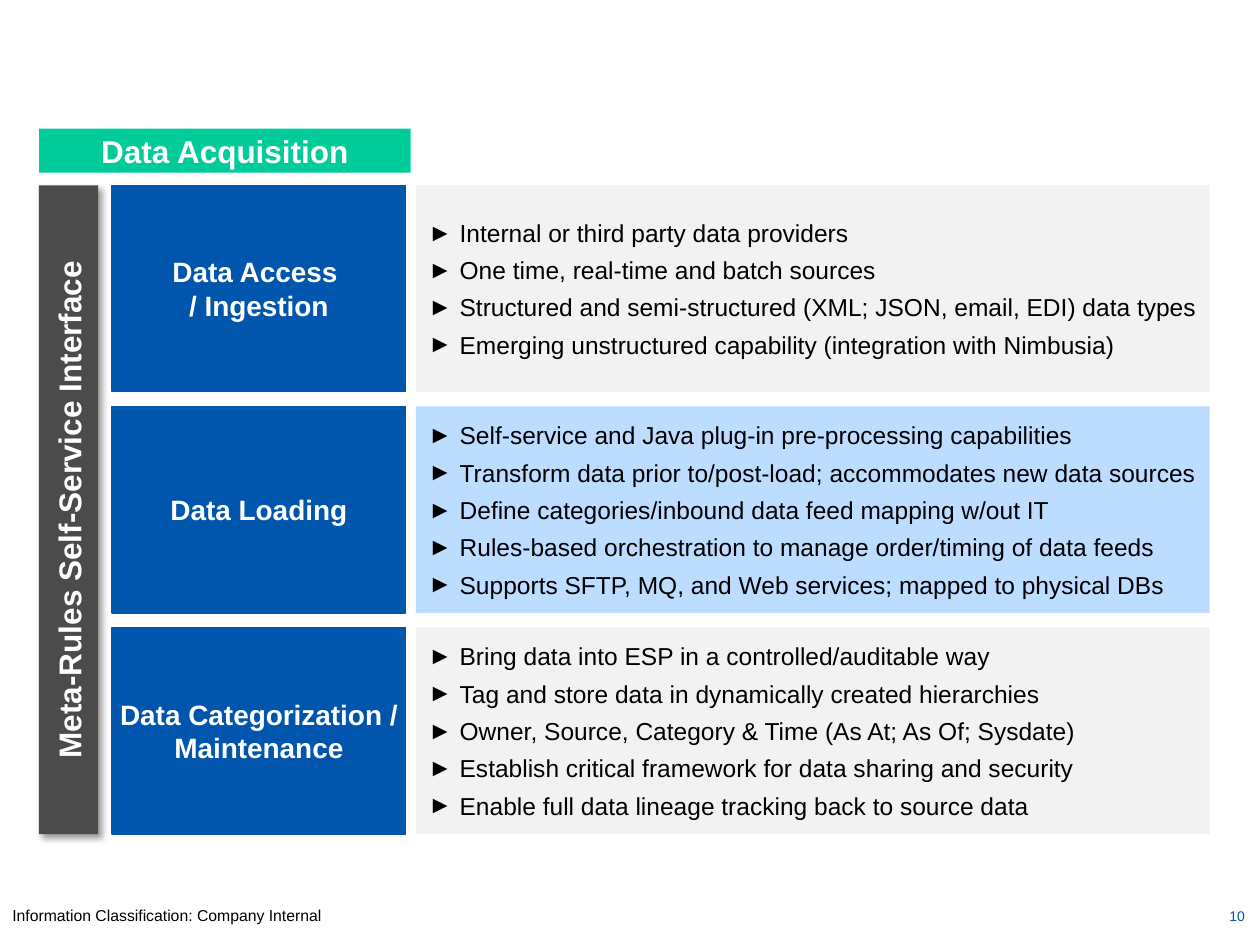
from lxml.etree import SubElement
from pptx import Presentation
from pptx.dml.color import RGBColor
from pptx.enum.shapes import MSO_SHAPE
from pptx.enum.text import MSO_ANCHOR, PP_ALIGN
from pptx.oxml.ns import qn
from pptx.util import Emu, Inches, Pt

COLORS = {
    "blue": "0055AD", "green": "00CC99", "charcoal": "4B4B4B",
    "gray": "F2F2F2", "light blue": "BCDDFF", "white": "FFFFFF", "black": "000000",
}
FONT = "Arial"

LEFT, RIGHT = 0.31, 9.6
TOP, BOTTOM = 1.47, 6.62
BAR_WIDTH = 0.47
HEADING_LEFT, HEADING_WIDTH = 0.89, 2.33
DETAIL_LEFT = 3.3
ROW_HEIGHT = 1.64

STAGES = [
    ("Data Access \n/ Ingestion", "gray", [
        "Internal or third party data providers",
        "One time, real-time and batch sources",
        "Structured and semi-structured (XML; JSON, email, EDI) data types",
        "Emerging unstructured capability (integration with Nimbusia)",
    ]),
    ("Data Loading", "light blue", [
        "Self-service and Java plug-in pre-processing capabilities",
        "Transform data prior to/post-load; accommodates new data sources",
        "Define categories/inbound data feed mapping w/out IT",
        "Rules-based orchestration to manage order/timing of data feeds",
        "Supports SFTP, MQ, and Web services; mapped to physical DBs",
    ]),
    ("Data Categorization / Maintenance", "gray", [
        "Bring data into ESP in a controlled/auditable way",
        "Tag and store data in dynamically created hierarchies",
        "Owner, Source, Category & Time (As At; As Of; Sysdate)",
        "Establish critical framework for data sharing and security",
        "Enable full data lineage tracking back to source data",
    ]),
]


def color(name):
    return RGBColor.from_string(COLORS[name])


def write(shape, text, size, ink, align, bold=False):
    frame = shape.text_frame
    frame.word_wrap = True
    frame.text = text
    for paragraph in frame.paragraphs:
        paragraph.alignment = align
        for run in paragraph.runs:
            run.font.name = FONT
            run.font.size = Pt(size)
            run.font.bold = bold
            run.font.color.rgb = color(ink)


def add_block(slide, left, top, width, height, fill):
    shape = slide.shapes.add_shape(
        MSO_SHAPE.RECTANGLE, *map(Inches, (left, top, width, height)))
    shape.shadow.inherit = False
    shape.fill.solid()
    shape.fill.fore_color.rgb = color(fill)
    shape.line.fill.background()
    shape.text_frame.vertical_anchor = MSO_ANCHOR.MIDDLE
    return shape


def add_label(slide, left, top, width, height, fill, text, size=18):
    shape = add_block(slide, left, top, width, height, fill)
    write(shape, text, size, "white", PP_ALIGN.CENTER, bold=True)
    return shape


def add_heading(slide, top, text):
    shape = add_label(slide, HEADING_LEFT, top, HEADING_WIDTH, ROW_HEIGHT, "blue", text, 16)
    shape.line.color.rgb = color("blue")
    shape.line.width = Pt(0.75)
    frame = shape.text_frame
    frame.margin_left = frame.margin_right = Inches(0.05)
    frame.margin_top = frame.margin_bottom = Inches(0.05)


def add_details(slide, top, fill, items):
    shape = add_block(slide, DETAIL_LEFT, top, RIGHT - DETAIL_LEFT, ROW_HEIGHT, fill)
    write(shape, "\n".join(items), 14, "black", PP_ALIGN.LEFT)
    for paragraph in shape.text_frame.paragraphs:
        paragraph.space_before = Pt(4.5)
        properties = paragraph._p.get_or_add_pPr()
        properties.set("marL", str(Inches(0.25)))
        properties.set("indent", str(-Inches(0.25)))
        SubElement(properties, qn("a:buFont"), typeface=FONT)
        SubElement(properties, qn("a:buChar"), char="►")


def add_shadow(shape):
    effects = shape._element.spPr.find(qn("a:effectLst"))
    shadow = SubElement(
        effects, qn("a:outerShdw"), blurRad=str(Pt(4)), dist=str(Pt(3)),
        dir=str(45 * 60000), algn="tl", rotWithShape="0")
    shade = SubElement(shadow, qn("a:srgbClr"), val=COLORS["black"])
    SubElement(shade, qn("a:alpha"), val="40000")


def add_side_bar(slide, text):
    length = BOTTOM - TOP
    left = LEFT + (BAR_WIDTH - length) / 2
    top = (TOP + BOTTOM - BAR_WIDTH) / 2
    shape = add_label(slide, left, top, length, BAR_WIDTH, "charcoal", text)
    shape.rotation = 270
    add_shadow(shape)


def add_footer(slide, left, top, width, text, size, ink, align):
    box = slide.shapes.add_textbox(*map(Inches, (left, top, width, 0.25)))
    write(box, text, size, ink, align)


def main():
    presentation = Presentation()
    presentation.slide_width = Inches(10)
    presentation.slide_height = Inches(7.5)
    slide = presentation.slides.add_slide(presentation.slide_layouts[6])

    add_footer(slide, 0, 7.14, 10, "Information Classification: Company Internal",
               9, "black", PP_ALIGN.LEFT)
    add_footer(slide, 7.65, 7.15, 2.33, "10", 8, "blue", PP_ALIGN.RIGHT)
    add_label(slide, LEFT, 1.02, 2.95, 0.35, "green", "Data Acquisition")
    add_side_bar(slide, "Meta-Rules Self-Service Interface")

    pitch = (BOTTOM - TOP - ROW_HEIGHT) / (len(STAGES) - 1)
    for row, (heading, fill, items) in enumerate(STAGES):
        top = TOP + row * pitch
        add_heading(slide, top, heading)
        add_details(slide, top, fill, items)

    presentation.save("out.pptx")


if __name__ == "__main__":
    main()
